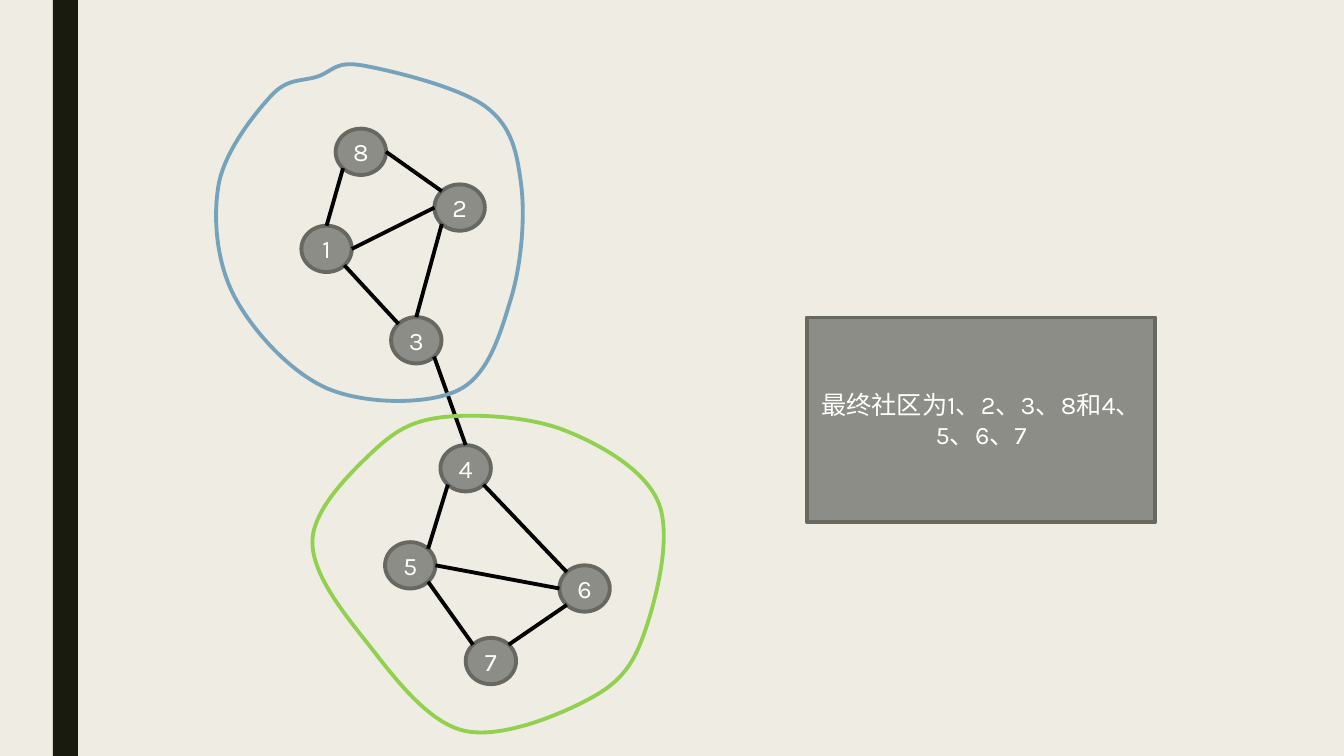
import math
import pptx
import pptx.util
import pptx.dml.color
import pptx.enum.shapes
import pptx.enum.text
import pptx.oxml
import pptx.oxml.ns
import lxml.etree

RGB = pptx.dml.color.RGBColor
KIND = pptx.enum.shapes.MSO_SHAPE
QN = pptx.oxml.ns.qn
CREAM = RGB(0xEF, 0xED, 0xE3)
DARK = RGB(0x19, 0x1B, 0x0E)
GRAY = RGB(0x8C, 0x8D, 0x86)
EDGE = RGB(0x68, 0x68, 0x63)
WHITE = RGB(0xFF, 0xFF, 0xFF)
BLACK = RGB(0, 0, 0)
BLUE = RGB(0x77, 0xA2, 0xBB)
GREEN = RGB(0x92, 0xD0, 0x50)

COLS = 40
NODE_W, NODE_H = 1.5, 1.38
ANGLES = {"E": 0, "SE": 45, "S": 90, "SW": 135, "W": 180, "NW": 225, "N": 270, "NE": 315}

NODES = {
    "1": (9.72, 7.41), "2": (13.68, 6.18), "3": (12.39, 10.13), "4": (13.86, 13.94),
    "5": (12.21, 16.83), "6": (17.4, 17.52), "7": (14.61, 19.68), "8": (10.74, 4.52),
}
LINKS = [
    ("8", "SW", "1", "N"), ("8", "E", "2", "NW"), ("3", "NW", "1", "SE"),
    ("2", "W", "1", "E"), ("2", "SW", "3", "N"), ("3", "SE", "4", "N"),
    ("5", "NE", "4", "SW"), ("4", "SE", "6", "NW"), ("5", "SE", "7", "NW"),
    ("6", "SW", "7", "NE"), ("5", "E", "6", "W"),
]
UPPER = [
    (10.8, 1.95), (14.46, 3.18), (15.51, 5.49), (15.21, 8.88), (13.65, 11.61),
    (9.78, 11.58), (6.99, 8.85), (6.51, 5.49), (8.07, 2.85), (9.45, 2.28),
]
LOWER = [
    (13.17, 12.42), (16.8, 12.81), (19.59, 14.94), (19.26, 18.6), (17.73, 20.7),
    (13.8, 21.75), (10.86, 19.05), (9.3, 16.08), (11.07, 13.47),
]


def curves(knots):
    for i, start in enumerate(knots):
        prev = knots[i - 1]
        end, after = (knots[(i + k) % len(knots)] for k in (1, 2))
        leave = [b + (c - a) / 6 for a, b, c in zip(prev, start, end)]
        reach = [c - (d - b) / 6 for b, c, d in zip(start, end, after)]
        yield leave, reach, end


def site(name, side):
    x, y = NODES[name]
    angle = math.radians(ANGLES[side])
    return x + NODE_W / 2 * math.cos(angle), y + NODE_H / 2 * math.sin(angle)


class Board:
    font = "Karla"
    size = pptx.util.Pt(18)
    weight = pptx.util.Pt(2.75)

    def __init__(self, deck):
        self.unit = deck.slide_width / COLS
        self.slide = deck.slides.add_slide(deck.slide_layouts[6])
        self.shapes = self.slide.shapes
        fill = self.slide.background.fill
        fill.solid()
        fill.fore_color.rgb = CREAM

    def grid(self, *cells):
        return [round(cell * self.unit) for cell in cells]

    def stroke(self, item, color):
        item.line.color.rgb = color
        item.line.width = self.weight

    def block(self, kind, x, y, w, h, color):
        shape = self.shapes.add_shape(kind, *self.grid(x, y, w, h))
        shape.shadow.inherit = False
        shape.fill.solid()
        shape.fill.fore_color.rgb = color
        shape.line.fill.background()
        return shape

    def label(self, kind, x, y, w, h, text, inset):
        shape = self.block(kind, x, y, w, h, GRAY)
        self.stroke(shape, EDGE)
        frame = shape.text_frame
        frame.text = text
        frame.word_wrap = True
        frame.vertical_anchor = pptx.enum.text.MSO_ANCHOR.MIDDLE
        frame.margin_left = frame.margin_right = pptx.util.Inches(inset)
        frame.margin_top = frame.margin_bottom = pptx.util.Inches(inset / 2)
        para = frame.paragraphs[0]
        para.alignment = pptx.enum.text.PP_ALIGN.CENTER
        font = para.runs[0].font
        font.name = self.font
        font.size = self.size
        font.color.rgb = WHITE

    def node(self, name, x, y):
        self.label(KIND.OVAL, x - NODE_W / 2, y - NODE_H / 2, NODE_W, NODE_H, name, 0)

    def link(self, start, end):
        line = self.shapes.add_connector(
            pptx.enum.shapes.MSO_CONNECTOR.STRAIGHT, *self.grid(*start, *end))
        self.stroke(line, BLACK)
        lxml.etree.SubElement(line._element.spPr, QN("a:effectLst"))

    def ring(self, knots, x, y, w, h, color):
        corners = [self.grid(*knot) for knot in knots]
        pen = self.shapes.build_freeform(*corners[0])
        pen.add_line_segments(corners[1:], close=True)
        shape = pen.convert_to_shape()
        shape.shadow.inherit = False
        shape.fill.background()
        self.stroke(shape, color)
        self.bend(shape, knots, x, y, w, h)

    def bend(self, shape, knots, x, y, w, h):
        box = self.grid(x, y, w, h)
        shape.left, shape.top, shape.width, shape.height = box
        trail = next(shape._element.iter(QN("a:path")))
        trail.set("w", str(box[2]))
        trail.set("h", str(box[3]))
        for part in list(trail):
            trail.remove(part)
        self.step(trail, "a:moveTo", [knots[0]], x, y)
        for points in curves(knots):
            self.step(trail, "a:cubicBezTo", points, x, y)
        lxml.etree.SubElement(trail, QN("a:close"))

    def step(self, trail, tag, points, x, y):
        move = lxml.etree.SubElement(trail, QN(tag))
        for px, py in points:
            across, down = self.grid(px - x, py - y)
            lxml.etree.SubElement(move, QN("a:pt"), x=str(across), y=str(down))


def main():
    deck = pptx.Presentation()
    deck.slide_width = pptx.util.Inches(13.33)
    deck.slide_height = pptx.util.Inches(7.5)
    board = Board(deck)
    board.block(KIND.RECTANGLE, 1.57, 0, 0.75, 22.51, DARK)
    for name, (x, y) in NODES.items():
        board.node(name, x, y)
    for first, out, last, into in LINKS:
        board.link(site(first, out), site(last, into))
    board.label(KIND.RECTANGLE, 24.01, 9.45, 10.38, 6.09, "最终社区为1、2、3、8和4、5、6、7", 0.1)
    board.ring(UPPER, 6.45, 1.92, 9.12, 10.05, BLUE)
    board.ring(LOWER, 9.3, 12.36, 10.47, 9.45, GREEN)
    deck.save("out.pptx")


if __name__ == "__main__":
    main()
